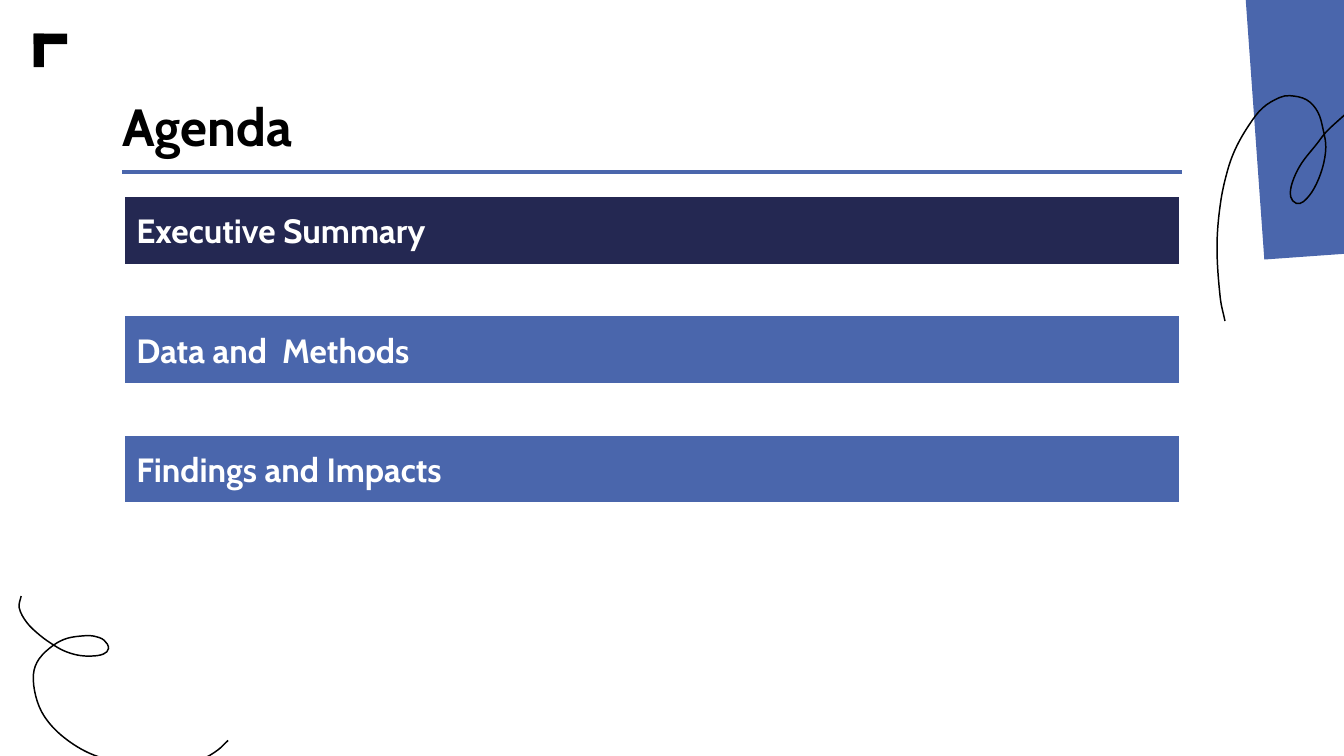
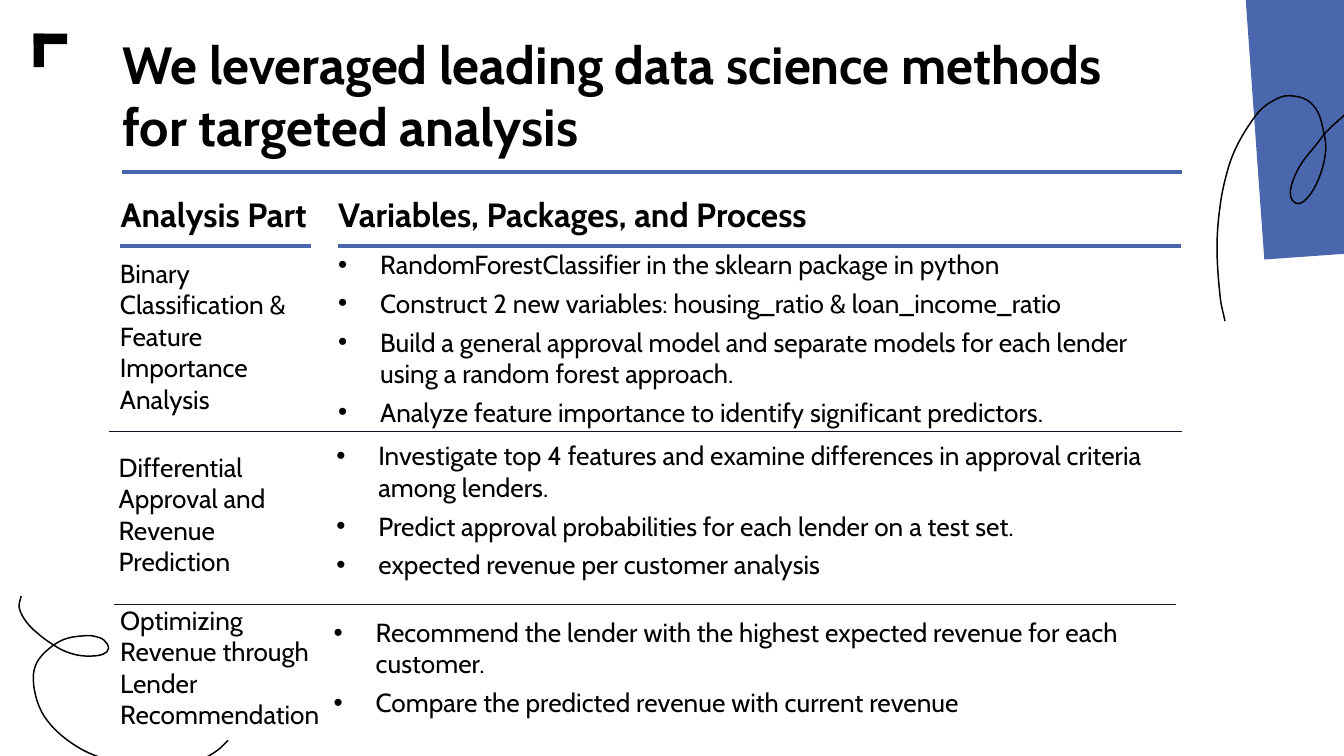
from math import dist
from lxml import etree
from pptx import Presentation
from pptx.dml.color import RGBColor
from pptx.enum import shapes as sh, text as tx
from pptx.oxml import ns
from pptx.util import Pt

BLUE, NAVY, RULE, BLACK, WHITE = "4A66AC", "242852", "121429", "000000", "FFFFFF"
FONT = "Cabin"


def paint(fill, hue):
    fill.solid()
    fill.fore_color.rgb = RGBColor.from_string(hue)


def write(frame, text, size=14, bold=False, hue=BLACK, anchor="TOP",
          pad=(0, 3.6, 7.2, 3.6), after=4, bullet=False):
    frame.word_wrap = True
    frame.auto_size = tx.MSO_AUTO_SIZE.NONE
    frame.vertical_anchor = tx.MSO_ANCHOR[anchor]
    (frame.margin_left, frame.margin_top,
     frame.margin_right, frame.margin_bottom) = map(Pt, pad)
    for i, line in enumerate(text.split("\n")):
        para = frame.add_paragraph() if i else frame.paragraphs[0]
        para.alignment = tx.PP_ALIGN.LEFT
        para.space_after = Pt(after)
        run = para.add_run()
        run.text = line
        run.font.name, run.font.size, run.font.bold = FONT, Pt(size), bold
        paint(run.font.fill, hue)
        if bullet:
            props = para._p.get_or_add_pPr()
            props.set("marL", str(Pt(22.5)))
            props.set("indent", str(-Pt(22.5)))
            tint = etree.SubElement(props, ns.qn("a:buClr"))
            etree.SubElement(tint, ns.qn("a:srgbClr"), val=hue)
            etree.SubElement(props, ns.qn("a:buFont"), typeface="Arial")
            etree.SubElement(props, ns.qn("a:buChar"), char="•")


deck = Presentation()
deck.slide_width, deck.slide_height = Pt(720), Pt(405)
base = deck.slide_layouts[5]
titles = ["Agenda", "We leveraged leading data science methods for targeted analysis"]
for title in titles:
    slide = deck.slides.add_slide(base)
    head = slide.shapes.title
    head.left, head.top, head.width, head.height = map(Pt, (58.4, 16.9, 574.5, 67.5))
    write(head.text_frame, title, size=28, bold=True, anchor="BOTTOM",
          pad=(7.2, 0, 7.2, 0), after=0)
agenda, method = deck.slides

blocks = [
    (18, 18, 5.6, 18, 0, BLACK),
    (24.2, 11.8, 5.6, 18, 270, BLACK),
    (671.3, -29.5, 232, 160.5, 355.9, BLUE),
]
for x, y, w, h, turn, hue in blocks:
    block = agenda.shapes.add_shape(sh.MSO_SHAPE.RECTANGLE, *map(Pt, (x, y, w, h)))
    block.rotation = turn
    block.shadow.inherit = False
    paint(block.fill, hue)
    block.line.fill.background()

curls = [
    [(656.3, 172), (653.8, 160), (652, 132), (654, 108), (658.2, 89.5),
     (662.6, 78.3), (669.5, 66.5), (676.5, 57.8), (685.5, 52.3), (691, 51.3),
     (700, 53.5), (706, 60), (709, 70), (710.3, 79), (708.5, 90), (704, 101),
     (698.4, 108), (694.5, 109), (691.5, 105.5), (692.3, 98), (697, 88),
     (705.6, 77), (710.6, 70.6), (721.5, 60.5), (732, 50)],
    [(11.4, 319.3), (10.3, 325.5), (14.4, 333.5), (21.6, 340.5), (28.8, 345.6),
     (34.6, 348.8), (41.8, 351), (49, 351.5), (55.4, 350.4), (58.2, 347.5),
     (55.8, 343), (50.4, 340.8), (45.4, 340.6), (36, 342), (28.8, 345.6),
     (21, 353), (18, 361), (19.2, 373), (23.8, 383.8), (33, 394),
     (46.8, 403), (62.6, 408.2), (78.5, 410.6), (93.6, 410.4), (108, 406.8),
     (116.5, 402), (122.2, 396.7)],
]
for knots in curls:
    first, *rest = [tuple(map(Pt, knot)) for knot in knots]
    pen = agenda.shapes.build_freeform(*first, scale=1)
    pen.add_line_segments(rest, close=False)
    curl = pen.convert_to_shape()
    curl.shadow.inherit = False
    curl.fill.background()
    paint(curl.line.fill, BLACK)
    curl.line.width = Pt(0.8)
    dots = [(int(dot.get("x")), int(dot.get("y")))
            for dot in curl.element.iter(ns.qn("a:pt"))]
    ends = [dots[0], *dots, dots[-1]]
    legs = list(curl.element.iter(ns.qn("a:lnTo")))
    for leg, a, b, c, d in zip(legs, ends, ends[1:], ends[2:], ends[3:]):
        arm = dist(b, c) / 3
        leave = [q + arm * (r - p) / dist(a, c) for p, q, r in zip(a, b, c)]
        reach = [q - arm * (r - p) / dist(b, d) for p, q, r in zip(b, c, d)]
        leg.tag = ns.qn("a:cubicBezTo")
        for i, (x, y) in enumerate((leave, reach)):
            leg.insert(i, etree.Element(ns.qn("a:pt"), x=str(round(x)), y=str(round(y))))

rules = [
    (agenda, 65.4, 633.2, 92.1, BLUE, 2.25),
    (method, 64.3, 166.7, 131.8, BLUE, 2.25),
    (method, 181.2, 632.7, 131.8, BLUE, 2.25),
    (method, 58.4, 633.2, 231.2, RULE, 0.75),
    (method, 61.2, 630, 324, RULE, 0.75),
]
for slide, left, right, y, hue, wide in rules:
    rule = slide.shapes.add_connector(
        sh.MSO_CONNECTOR.STRAIGHT, Pt(left), Pt(y), Pt(right), Pt(y))
    paint(rule.line.fill, hue)
    rule.line.width = Pt(wide)
    etree.SubElement(rule._element.spPr, ns.qn("a:effectLst"))

decor = [item for item in agenda.shapes if not item.is_placeholder]
for num, item in enumerate(decor, 20):
    item.element.xpath(".//p:cNvPr")[0].set("id", str(num))
    base.shapes.element.append(item.element)

topics = ["Executive Summary", "Data and  Methods", "Findings and Impacts"]
for i, topic in enumerate(topics):
    bar = agenda.shapes.add_shape(
        sh.MSO_SHAPE.RECTANGLE, Pt(65.6), Pt(104 + 64 * i), Pt(567.6), Pt(38.7))
    bar.shadow.inherit = False
    paint(bar.fill, BLUE if i else NAVY)
    paint(bar.line.fill, WHITE)
    bar.line.width = Pt(3)
    write(bar.text_frame, topic, size=18, bold=True, hue=WHITE, anchor="MIDDLE",
          pad=(7.5, 8.6, 0, 8.6), after=0)

big = dict(size=18, bold=True, anchor="MIDDLE")
dot = dict(bullet=True)
cells = [
    (64.6, 98, 116.6, 33.8, "Analysis Part", big),
    (181.2, 98, 451.5, 33.8, "Variables, Packages, and Process", big),
    (64.3, 134.4, 119, 92, "Binary Classification & Feature Importance Analysis", {}),
    (181.2, 129.5, 451.5, 104.4,
     "RandomForestClassifier in the sklearn package in python\n"
     "Construct 2 new variables: housing_ratio & loan_income_ratio\n"
     "Build a general approval model and separate models for each lender "
     "using a random forest approach.\n"
     "Analyze feature importance to identify significant predictors.", dot),
    (63.6, 238.3, 119, 75, "Differential Approval and Revenue Prediction", {}),
    (180.2, 232.1, 451.5, 83.5,
     "Investigate top 4 features and examine differences in approval criteria "
     "among lenders.\n"
     "Predict approval probabilities for each lender on a test set.\n"
     "expected revenue per customer analysis", dot),
    (64.4, 320.3, 121, 75, "Optimizing Revenue through Lender Recommendation", {}),
    (178.8, 326.7, 451.5, 62,
     "Recommend the lender with the highest expected revenue for each customer.\n"
     "Compare the predicted revenue with current revenue", dot),
]
for x, y, w, h, words, look in cells:
    cell = method.shapes.add_textbox(*map(Pt, (x, y, w, h)))
    write(cell.text_frame, words, **look)

deck.save("out.pptx")
